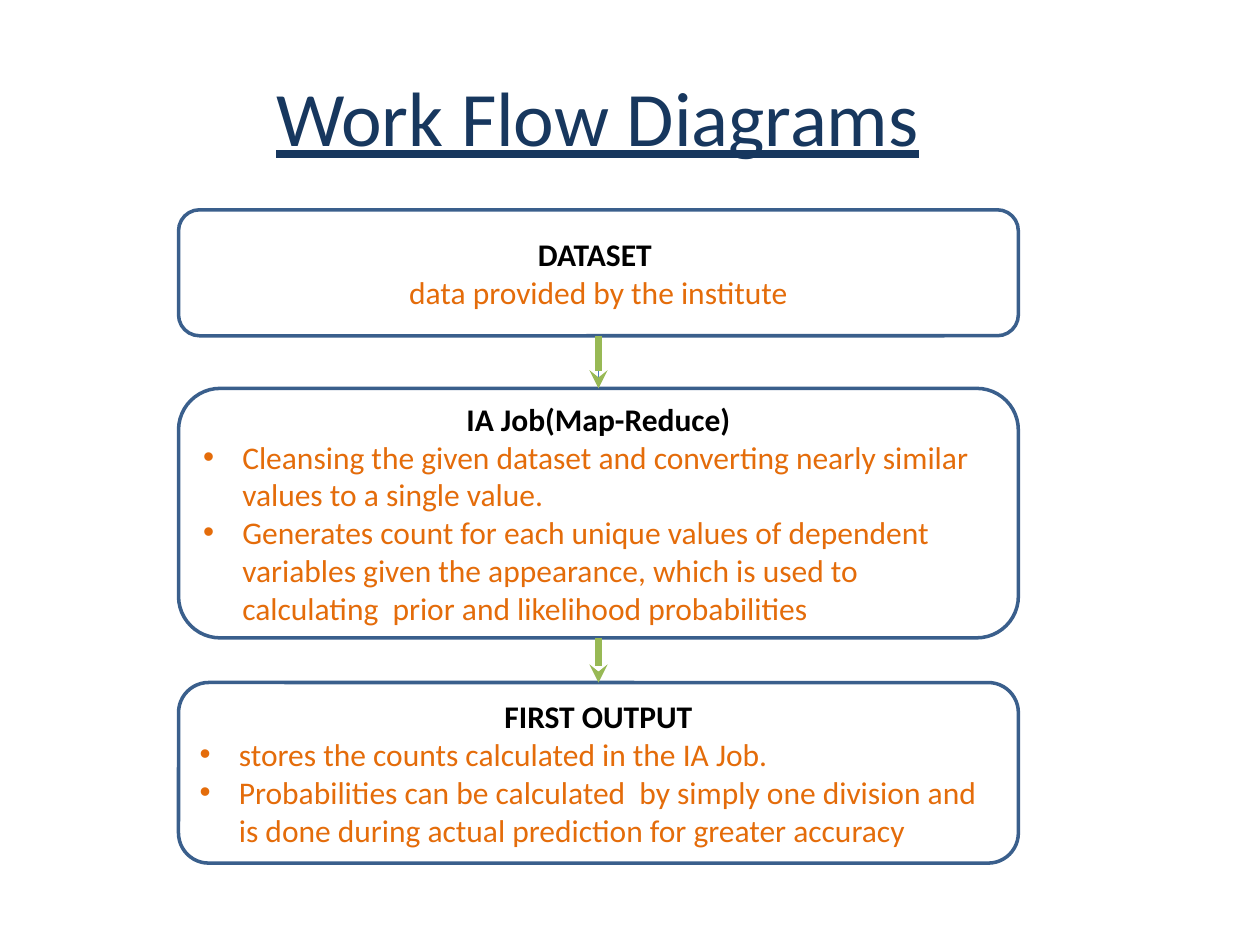
from dataclasses import dataclass

from lxml.etree import SubElement
from pptx import Presentation
from pptx.dml.color import RGBColor
from pptx.enum.shapes import MSO_CONNECTOR as Connector, MSO_SHAPE as Shape
from pptx.enum.text import MSO_ANCHOR as Anchor, PP_ALIGN as Align
from pptx.oxml.ns import qn
from pptx.util import Cm, Pt


@dataclass(frozen=True)
class Theme:
    font: str = "Calibri"
    title_size: float = 44
    body_size: float = 18
    title: str = "17375E"
    heading: str = "000000"
    body: str = "E46C0A"
    paper: str = "FFFFFF"
    border: str = "3A5F8C"
    thin_line: str = "4B7EBC"
    arrow: str = "98B955"


THEME = Theme()
TITLE = "Work Flow Diagrams"

# top and height in cm
STEPS = [
    {"top": 4.23, "height": 2.54, "heading": "DATASET ", "bulleted": False,
     "lines": ["data provided by the institute"]},
    {"top": 7.83, "height": 5.03, "heading": "IA Job(Map-Reduce)", "bulleted": True,
     "lines": ["Cleansing the given dataset and converting nearly similar values "
               "to a single value.",
               "Generates count for each unique values of dependent variables given "
               "the appearance, which is used to calculating  prior and likelihood "
               "probabilities"]},
    {"top": 13.76, "height": 3.64, "heading": "FIRST OUTPUT", "bulleted": True,
     "lines": ["stores the counts calculated in the IA Job.",
               "Probabilities can be calculated  by simply one division and is done "
               "during actual prediction for greater accuracy"]},
]
STEP_LEFT, STEP_WIDTH = 3.6, 16.93
STEP_CENTRE = STEP_LEFT + STEP_WIDTH / 2
BULLET_INDENT = Cm(0.79)


def color(value):
    return RGBColor.from_string(value)


def add_span(para, text, size, ink, bold=False, underline=False):
    span = para.add_run()
    span.text = text
    font = span.font
    font.name, font.size = THEME.font, Pt(size)
    font.bold, font.underline = bold, underline
    font.color.rgb = color(ink)


def add_bullet(para):
    props = para._p.get_or_add_pPr()
    props.set("marL", str(BULLET_INDENT))
    props.set("indent", str(-BULLET_INDENT))
    SubElement(props, qn("a:buFont"), typeface="Arial")
    SubElement(props, qn("a:buChar"), char="•")


def fill_title(page):
    box = page.shapes.title
    box.left, box.top, box.width, box.height = Cm(5.28), Cm(0.74), Cm(13.54), Cm(3.18)
    box.fill.solid()
    box.fill.fore_color.rgb = color(THEME.paper)
    paint = box._element.spPr.find(f"{qn('a:solidFill')}/{qn('a:srgbClr')}")
    SubElement(paint, qn("a:alpha"), val="50000")
    box.text_frame.vertical_anchor = Anchor.MIDDLE
    para = box.text_frame.paragraphs[0]
    para.alignment = Align.CENTER
    add_span(para, TITLE, THEME.title_size, THEME.title, underline=True)


def add_step(page, step):
    box = page.shapes.add_shape(Shape.ROUNDED_RECTANGLE, Cm(STEP_LEFT), Cm(step["top"]),
                                Cm(STEP_WIDTH), Cm(step["height"]))
    box.shadow.inherit = False
    box.fill.solid()
    box.fill.fore_color.rgb = color(THEME.paper)
    box.line.color.rgb = color(THEME.border)
    box.line.width = Pt(2)
    frame = box.text_frame
    frame.word_wrap = True
    frame.vertical_anchor = Anchor.MIDDLE
    para = frame.paragraphs[0]
    para.alignment = Align.CENTER
    add_span(para, step["heading"], THEME.body_size, THEME.heading, bold=True)
    for line in step["lines"]:
        para = frame.add_paragraph()
        para.alignment = Align.LEFT if step["bulleted"] else Align.CENTER
        if step["bulleted"]:
            add_bullet(para)
        add_span(para, line, THEME.body_size, THEME.body)


def add_link(page, upper, lower, ink, width, arrowhead=False):
    """Join the bottom of one step to the top of the next."""
    link = page.shapes.add_connector(
        Connector.STRAIGHT, Cm(STEP_CENTRE), Cm(upper["top"] + upper["height"]),
        Cm(STEP_CENTRE), Cm(lower["top"]))
    link.line.color.rgb = color(ink)
    link.line.width = Pt(width)
    if arrowhead:
        SubElement(link.line._get_or_add_ln(), qn("a:tailEnd"), type="stealth")
    SubElement(link._element.spPr, qn("a:effectLst"))


def main():
    deck = Presentation()
    deck.slide_width, deck.slide_height = Cm(25.4), Cm(19.05)
    page = deck.slides.add_slide(deck.slide_layouts[5])
    fill_title(page)
    for step in STEPS:
        add_step(page, step)
    add_link(page, STEPS[0], STEPS[1], THEME.thin_line, 0.75)
    for upper, lower in zip(STEPS, STEPS[1:]):
        add_link(page, upper, lower, THEME.arrow, 3.5, arrowhead=True)
    deck.save("out.pptx")


if __name__ == "__main__":
    main()
